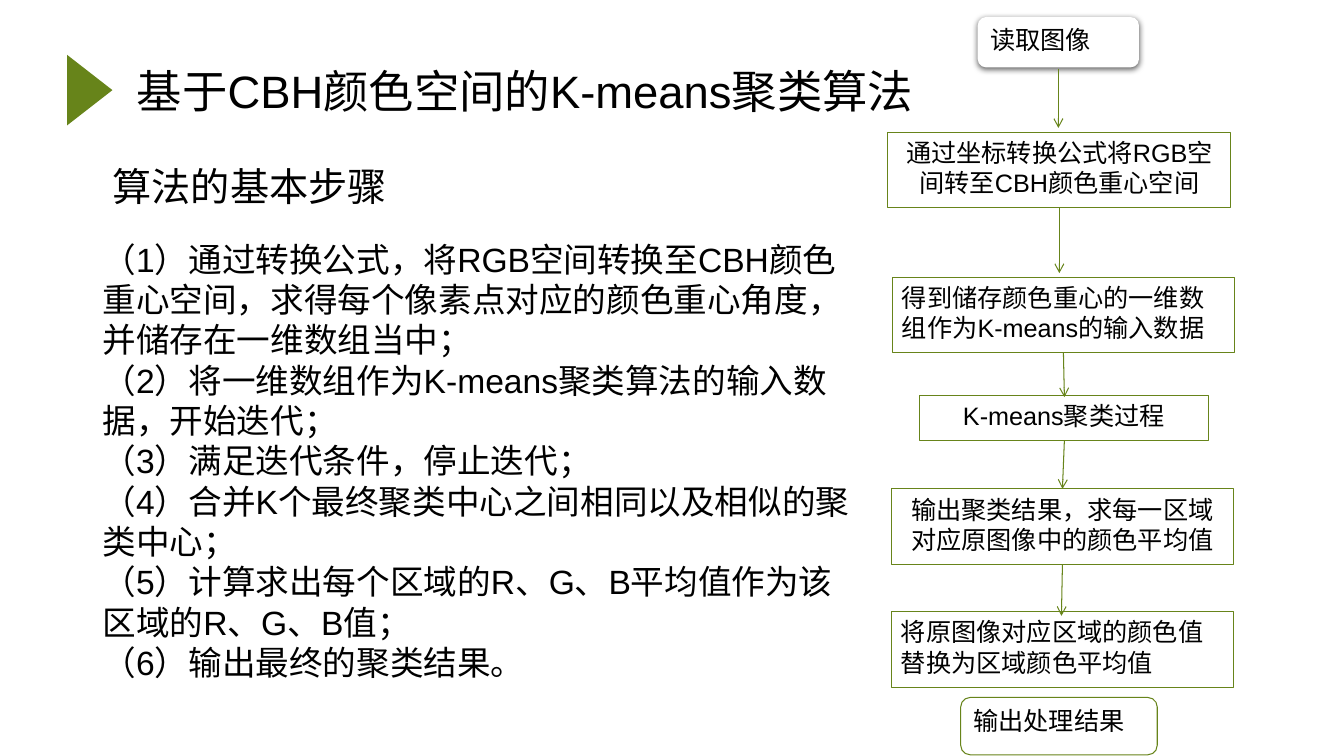
from dataclasses import dataclass

from lxml.etree import SubElement
from pptx import Presentation
from pptx.dml.color import RGBColor
from pptx.enum.shapes import MSO_CONNECTOR, MSO_SHAPE
from pptx.enum.text import MSO_ANCHOR, PP_ALIGN
from pptx.oxml import parse_xml
from pptx.oxml.ns import nsdecls, qn
from pptx.slide import Slide
from pptx.text.text import TextFrame
from pptx.util import Pt

GREEN, BLACK, WHITE = "67841A", "000000", "FFFFFF"
STEP_WIDTH, STEP_HEIGHT = 244.8, 54
TERMINAL, PROCESS = MSO_SHAPE.FLOWCHART_ALTERNATE_PROCESS, MSO_SHAPE.FLOWCHART_PROCESS


@dataclass
class TextArea:
    left: float
    top: float
    width: float
    height: float
    size: float
    lines: list[str]
    anchor: MSO_ANCHOR = MSO_ANCHOR.TOP


@dataclass
class FlowStep:
    text: str
    left: float
    top: float
    width: float = STEP_WIDTH
    height: float = STEP_HEIGHT
    outline: MSO_SHAPE = PROCESS
    align: PP_ALIGN = PP_ALIGN.LEFT
    raised: bool = False


@dataclass
class FlowArrow:
    x1: float
    y1: float
    x2: float
    y2: float


TEXT_AREAS = [
    TextArea(90.7, 28.1, 602.6, 73.4, 32.4,
             ["基于CBH颜色空间的K-means聚类算法"], MSO_ANCHOR.MIDDLE),
    TextArea(73.4, 112.3, 255.6, 41, 28, ["算法的基本步骤"]),
    TextArea(66.2, 167, 550.8, 315.4, 24, [
        "（1）通过转换公式，将RGB空间转换至CBH颜色重心空间，求得每个像素点对应的颜色重心角度，并储存在一维数组当中；",
        "（2）将一维数组作为K-means聚类算法的输入数据，开始迭代；",
        "（3）满足迭代条件，停止迭代；",
        "（4）合并K个最终聚类中心之间相同以及相似的聚类中心；",
        "（5）计算求出每个区域的R、G、B平均值作为该区域的R、G、B值；",
        "（6）输出最终的聚类结果。",
    ]),
]

FLOW_STEPS = [
    FlowStep("读取图像", 698.4, 12.2, 115.2, 36, TERMINAL, raised=True),
    FlowStep("通过坐标转换公式将RGB空间转至CBH颜色重心空间", 634.3, 94.3, align=PP_ALIGN.CENTER),
    FlowStep("得到储存颜色重心的一维数组作为K-means的输入数据", 637.2, 198),
    FlowStep("K-means聚类过程", 656.6, 282.2, 206.6, 32.4, align=PP_ALIGN.CENTER),
    FlowStep("输出聚类结果，求每一区域对应原图像中的颜色平均值", 636.5, 349.2, align=PP_ALIGN.CENTER),
    FlowStep("将原图像对应区域的颜色值替换为区域颜色平均值", 636.5, 437),
    FlowStep("输出处理结果", 686.2, 498.2, 140.4, 41, TERMINAL),
]

FLOW_ARROWS = [
    FlowArrow(756, 49, 756, 91.4),
    FlowArrow(756.7, 148.3, 756.7, 195.1),
    FlowArrow(759.6, 252, 760.3, 283.7),
    FlowArrow(760.3, 314.6, 758.9, 349.2),
    FlowArrow(758.9, 403.2, 758.2, 439.9),
]


def color(value: str) -> RGBColor:
    return RGBColor.from_string(value)


def write_text(frame: TextFrame, lines: list[str], size: float,
               align: PP_ALIGN = PP_ALIGN.LEFT) -> None:
    frame.word_wrap = True
    frame.text = "\n".join(lines)
    for paragraph in frame.paragraphs:
        paragraph.alignment = align
        for run in paragraph.runs:
            run.font.name = "Arial"
            run.font.size = Pt(size)
            run.font.color.rgb = color(BLACK)


def draw_text_area(slide: Slide, area: TextArea) -> None:
    box = slide.shapes.add_textbox(Pt(area.left), Pt(area.top), Pt(area.width), Pt(area.height))
    box.text_frame.vertical_anchor = area.anchor
    write_text(box.text_frame, area.lines, area.size)


def draw_marker(slide: Slide) -> None:
    marker = slide.shapes.add_shape(MSO_SHAPE.ISOSCELES_TRIANGLE,
                                    Pt(38.9), Pt(48.2), Pt(50.4), Pt(32.4))
    marker.rotation = 90
    marker.shadow.inherit = False
    marker.fill.solid()
    marker.fill.fore_color.rgb = color(GREEN)
    marker.line.fill.background()


def draw_step(slide: Slide, step: FlowStep) -> None:
    box = slide.shapes.add_shape(step.outline, Pt(step.left), Pt(step.top),
                                 Pt(step.width), Pt(step.height))
    box.shadow.inherit = False
    box.fill.solid()
    box.fill.fore_color.rgb = color(WHITE)
    if step.raised:
        box.line.fill.background()
        # Soft shadow below the starting step
        effects = box._element.spPr.find(qn("a:effectLst"))
        effects.append(parse_xml(
            f'<a:outerShdw {nsdecls("a")} blurRad="{Pt(4.5)}" dist="{Pt(1.5)}" '
            f'dir="5400000" rotWithShape="0"><a:srgbClr val="{BLACK}">'
            '<a:alpha val="63000"/></a:srgbClr></a:outerShdw>'))
    else:
        box.line.color.rgb = color(GREEN)
        box.line.width = Pt(0.75)
    box.text_frame.vertical_anchor = MSO_ANCHOR.TOP
    write_text(box.text_frame, [step.text], 18, step.align)


def draw_arrow(slide: Slide, arrow: FlowArrow) -> None:
    link = slide.shapes.add_connector(MSO_CONNECTOR.STRAIGHT, Pt(arrow.x1), Pt(arrow.y1),
                                      Pt(arrow.x2), Pt(arrow.y2))
    link.line.color.rgb = color(GREEN)
    link.line.width = Pt(0.75)
    SubElement(link.line._get_or_add_ln(), qn("a:tailEnd"), type="arrow")
    SubElement(link._element.spPr, qn("a:effectLst"))


def main() -> None:
    deck = Presentation()
    deck.slide_width, deck.slide_height = Pt(960), Pt(540)
    slide = deck.slides.add_slide(deck.slide_layouts[6])

    # Heading and algorithm steps
    draw_marker(slide)
    for area in TEXT_AREAS:
        draw_text_area(slide, area)

    # Flow chart
    for step in FLOW_STEPS:
        draw_step(slide, step)
    for arrow in FLOW_ARROWS:
        draw_arrow(slide, arrow)

    deck.save("out.pptx")


if __name__ == "__main__":
    main()
